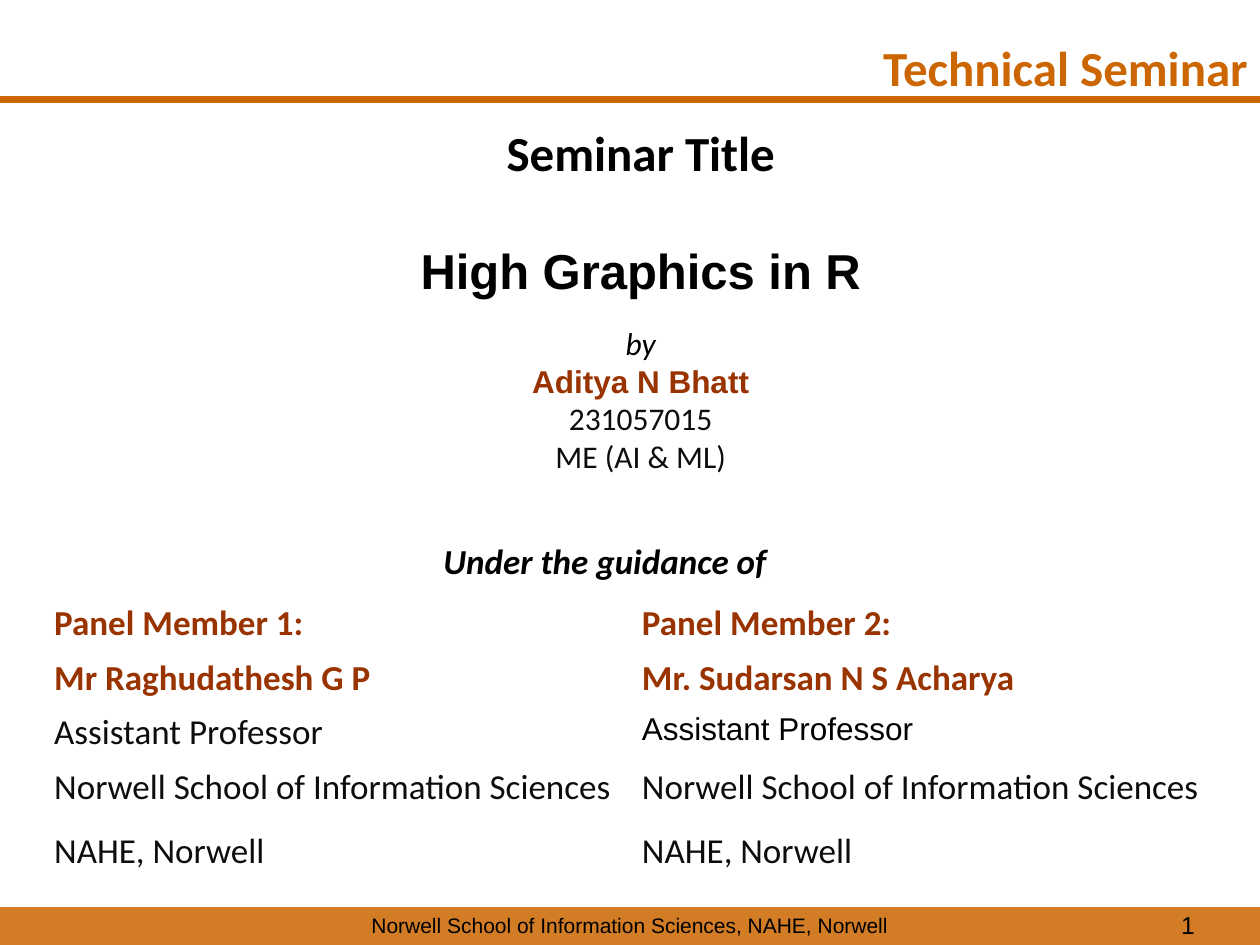
from lxml import etree
from pptx import Presentation
from pptx import util as u
from pptx.dml.color import RGBColor
from pptx.enum import shapes, text
from pptx.oxml.ns import qn

WIDTH, HEIGHT = 10, 7.5
BLACK, INK, ORANGE, RUST = "000000", "0D0D0D", "CC6600", "993300"
LEFT, CENTER, RIGHT = text.PP_ALIGN.LEFT, text.PP_ALIGN.CENTER, text.PP_ALIGN.RIGHT
SCHOOL, CAMPUS = "Norwell School of Information Sciences", "NAHE, Norwell"


def rgb(value):
    return RGBColor.from_string(value)


def style(paragraph, words, size, color=BLACK, name="Calibri", bold=False,
          italic=False, align=LEFT, before=0):
    paragraph.text = words
    paragraph.alignment = align
    paragraph.space_before = u.Pt(before)
    font = paragraph.font
    font.size, font.name, font.bold, font.italic = u.Pt(size), name, bold, italic
    font.color.rgb = rgb(color)


def add_text(slide, box, lines, align=LEFT, top=0.05, wrap=True):
    """Each line is a dict of arguments for style()."""
    frame = slide.shapes.add_textbox(*map(u.Inches, box)).text_frame
    frame.word_wrap = wrap
    frame.margin_top = u.Inches(top)
    for index, line in enumerate(lines):
        paragraph = frame.add_paragraph() if index else frame.paragraphs[0]
        style(paragraph, align=align, **line)


def add_header(slide, box):
    left, top, width, height = box
    rule_y = u.Inches(top + height)
    rule = slide.shapes.add_connector(
        shapes.MSO_CONNECTOR.STRAIGHT, u.Inches(left), rule_y,
        u.Inches(left + width), rule_y)
    rule.line.color.rgb = rgb(ORANGE)
    rule.line.width = u.Pt(4.5)
    etree.SubElement(rule._element.spPr, qn("a:effectLst"))
    add_text(slide, (left + width - 3.13, top + 0.25, 3.13, 0.57),
             [dict(words="Technical Seminar", size=28, color=ORANGE, bold=True)],
             RIGHT, wrap=False)


def add_footer(slide, box):
    left, top, width, height = box
    bar = slide.shapes.add_shape(shapes.MSO_SHAPE.RECTANGLE, *map(u.Inches, box))
    bar.shadow.inherit = False
    bar.line.fill.background()
    bar.fill.solid()
    bar.fill.fore_color.rgb = rgb(ORANGE)
    color = bar._element.spPr.find(qn("a:solidFill"))[0]
    etree.SubElement(color, qn("a:alpha"), val="85000")
    add_text(slide, (left, top - 0.01, width, height),
             [dict(words=f"{SCHOOL}, {CAMPUS}", size=12, name="Arial")], CENTER)
    add_text(slide, (left + width - 2.75, top - 0.03, 2.33, 0.33),
             [dict(words="1", size=14, name="Arial")], RIGHT)


def add_title(slide, box):
    add_text(slide, box, [
        dict(words="Seminar Title", size=28, bold=True),
        dict(words="High Graphics in R", size=28, name="Arial", bold=True, before=34),
    ], CENTER)


def add_author(slide, box):
    add_text(slide, box, [
        dict(words="by", size=18, italic=True),
        dict(words="Aditya N Bhatt", size=18, color=RUST, name="Arial", bold=True),
        dict(words="231057015", size=18, color=INK),
        dict(words="ME (AI & ML)", size=18, color=INK),
    ], CENTER)


def add_panel(slide, box):
    left, top, width, height = box
    add_text(slide, (left + 3.09, top - 0.5, 3.17, 0.5),
             [dict(words="Under the guidance of", size=20, bold=True, italic=True)])

    heading = dict(size=20, color=RUST, bold=True)
    body = dict(size=20, color=INK)
    rows = [
        (0.35, ("Panel Member 1:", heading), ("Panel Member 2:", heading)),
        (0.35, ("Mr Raghudathesh G P", heading), ("Mr. Sudarsan N S Acharya", heading)),
        (0.35, ("Assistant Professor", body),
         ("Assistant Professor", dict(size=18, name="Arial"))),
        (0.51, (SCHOOL, body), (SCHOOL, body)),
        (0.51, (CAMPUS, body), (CAMPUS, body)),
    ]
    table = slide.shapes.add_table(len(rows), 2, *map(u.Inches, box)).table
    table.first_row = table.horz_banding = False
    # Plain style without grid lines
    table._tbl.tblPr.find(qn("a:tableStyleId")).text = \
        "{2D5ABB26-0587-4C30-8999-92F81FD0307C}"
    for column in table.columns:
        column.width = u.Inches(width / 2)
    for row, (row_height, *entries) in zip(table.rows, rows):
        row.height = u.Inches(row_height)
        for cell, (words, look) in zip(row.cells, entries):
            cell.fill.background()
            style(cell.text_frame.paragraphs[0], words, **look)


def build_title_slide(presentation):
    slide = presentation.slides.add_slide(presentation.slide_layouts[6])
    add_header(slide, (0, 0, WIDTH, 0.79))
    add_footer(slide, (0, HEIGHT - 0.3, WIDTH, 0.3))
    add_title(slide, (0.21, 0.92, 9.75, 1.17))
    add_author(slide, (0.42, 2.52, 9.33, 1.35))
    add_panel(slide, (0.33, 4.73, 9.33, 2.07))


presentation = Presentation()
presentation.slide_width, presentation.slide_height = u.Inches(WIDTH), u.Inches(HEIGHT)
build_title_slide(presentation)
presentation.save("out.pptx")
